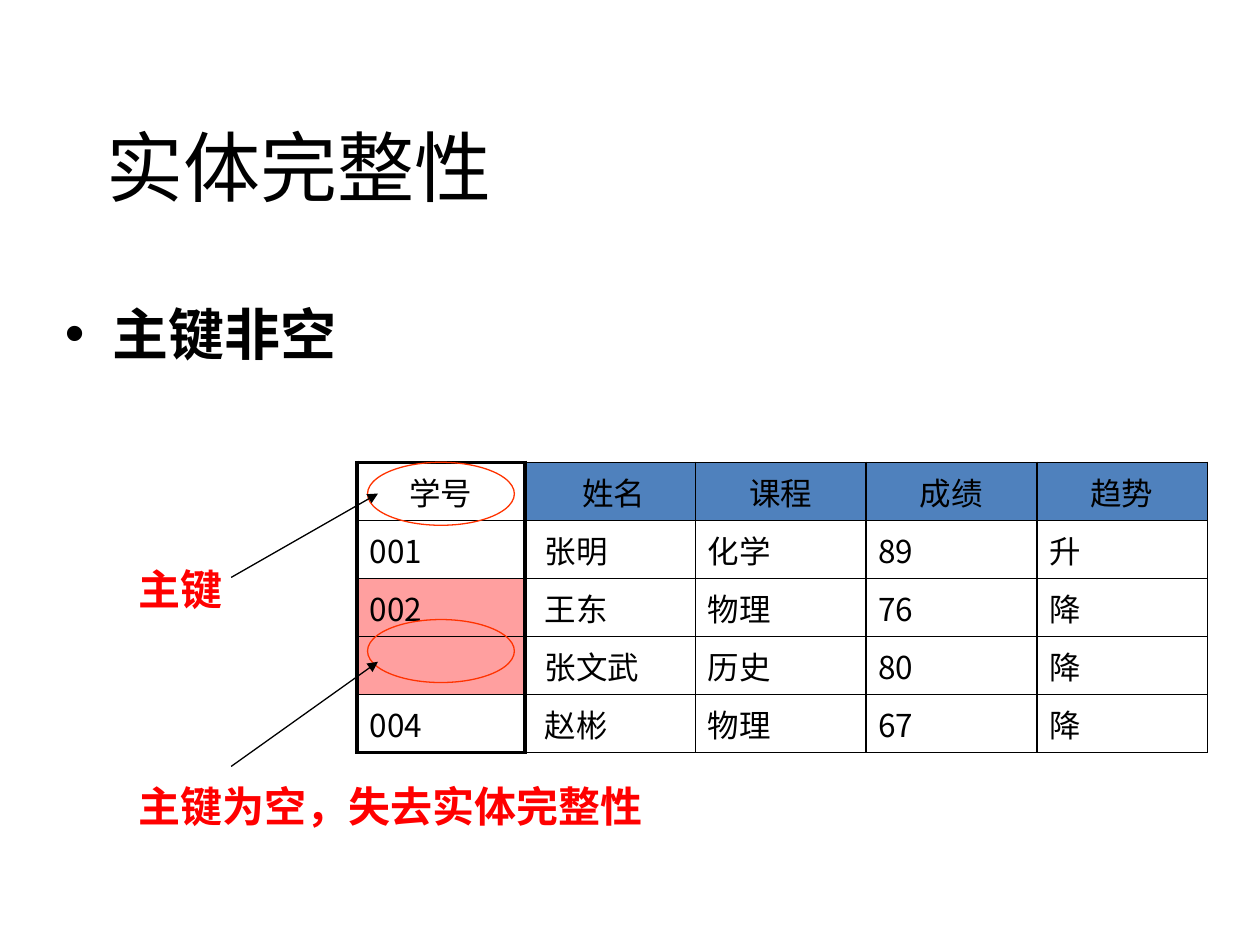
import pptx
import pptx.dml.color
import pptx.enum.shapes
import pptx.enum.text
import pptx.oxml
import pptx.oxml.ns
import pptx.util
from lxml import etree

Cm, Pt = pptx.util.Cm, pptx.util.Pt
ALIGN = pptx.enum.text.PP_ALIGN
ANCHOR = pptx.enum.text.MSO_ANCHOR
CJK = "Noto Sans CJK SC"
BLACK, WHITE, RED, ORANGE = "000000", "FFFFFF", "FF0000", "FF3300"
HEADER, MARKED = "4F81BD", "FF9F9F"
THIN, THICK = 1, 2.25

KEY_COLUMN = [["学号"], ["001"], ["002"], [""], ["004"]]
MARKED_ROWS = (2, 3)
STUDENTS = [
    ["姓名", "课程", "成绩", "趋势"],
    ["张明", "化学", "89", "升"],
    ["王东", "物理", "76", "降"],
    ["张文武", "历史", "80", "降"],
    ["赵彬", "物理", "67", "降"],
]
KEY_LEFT, KEY_WIDTH = 7.2, 3.38
TABLE_TOP, COLUMN_WIDTH, ROW_HEIGHT = 9.32, 3.44, 1.17

# text, box (left, top, width, height), size, font, colour, bold, anchor
TITLE = ("实体完整性", (1.9, 1.35, 21.4, 4), 44, "Calibri", BLACK, False, ANCHOR.MIDDLE)
POINT = ("主键非空", (1.06, 5.92, 18.84, 1.9), 32, "Arial Narrow", BLACK, True, ANCHOR.TOP)
KEY_LABEL = ("主键", (2.54, 11.43, 3.18, 1.07), 24, "Arial", RED, True, ANCHOR.TOP)
NULL_LABEL = ("主键为空，失去实体完整性", (2.54, 15.4, 14, 1.48), 24, "Cambria", RED, True,
              ANCHOR.BOTTOM)

RING_LEFT, RING_SIZE = 7.41, (2.96, 1.27)
RING_TOPS = (TABLE_TOP, 12.49)
ARROWS = [((4.66, 11.64), (7.62, 9.95)), ((4.66, 15.45), (7.62, 13.34))]


def rgb(value):
    return pptx.dml.color.RGBColor.from_string(value)


def child(parent, tag, **attributes):
    return etree.SubElement(parent, pptx.oxml.ns.qn(tag), attributes)


def format_runs(p, size, font, color, bold=False):
    for r in p.runs:
        r.font.size, r.font.bold, r.font.name = Pt(size), bold, font
        r.font.color.rgb = rgb(color)
        child(r.font._element, "a:ea", typeface=CJK)


def add_text(slide, text, box, size, font, color, bold, anchor):
    tf = slide.shapes.add_textbox(*map(Cm, box)).text_frame
    tf.word_wrap, tf.vertical_anchor = True, anchor
    tf.text = text
    p = tf.paragraphs[0]
    format_runs(p, size, font, color, bold)
    return p


def add_bullet(p, indent):
    pPr = p._p.get_or_add_pPr()
    pPr.set("marL", str(Cm(indent)))
    pPr.set("indent", str(-Cm(indent)))
    child(pPr, "a:buFont", typeface="Arial")
    child(pPr, "a:buChar", char="•")


def set_borders(cell, widths):
    """Draw black borders; widths are points for left, right, top, bottom."""
    tcPr = cell._tc.get_or_add_tcPr()
    for side, width in zip("LRTB", widths):
        ln = child(tcPr, f"a:ln{side}", w=str(Pt(width)))
        child(child(ln, "a:solidFill"), "a:srgbClr", val=BLACK)


def add_table(slide, rows, left, width, fill_of, borders_of, anchor, first_margin):
    """Build a grid; fill_of and borders_of give the look of a row number."""
    columns = len(rows[0])
    frame = slide.shapes.add_table(len(rows), columns, Cm(left), Cm(TABLE_TOP),
                                   Cm(width * columns), Cm(ROW_HEIGHT * len(rows)))
    table = frame.table
    table.first_row = table.horz_banding = False
    for column in table.columns:
        column.width = Cm(width)
    for i, row in enumerate(rows):
        table.rows[i].height = Cm(ROW_HEIGHT)
        for j, text in enumerate(row):
            cell = table.cell(i, j)
            cell.text = text
            cell.margin_left = Cm(first_margin if j == 0 else 0.25)
            cell.vertical_anchor = anchor
            set_borders(cell, borders_of(i))
            cell.fill.solid()
            cell.fill.fore_color.rgb = rgb(fill_of(i))
            p = cell.text_frame.paragraphs[0]
            p.alignment = ALIGN.CENTER if i == 0 else ALIGN.LEFT
            format_runs(p, 18, CJK, BLACK)


def key_borders(i):
    last = len(KEY_COLUMN) - 1
    return THICK, THICK, THICK if i == 0 else THIN, THICK if i == last else THIN


def add_ring(slide, top):
    sp = slide.shapes.add_shape(pptx.enum.shapes.MSO_SHAPE.OVAL, Cm(RING_LEFT), Cm(top),
                                *map(Cm, RING_SIZE))
    sp.shadow.inherit = False
    sp.fill.background()
    sp.line.color.rgb = rgb(ORANGE)
    sp.line.width = Pt(0.75)


def add_arrow(slide, start, end):
    line = slide.shapes.add_connector(pptx.enum.shapes.MSO_CONNECTOR.STRAIGHT,
                                      *map(Cm, start + end))
    line.line.color.rgb = rgb(BLACK)
    line.line.width = Pt(0.75)
    child(line.line._get_or_add_ln(), "a:tailEnd", type="triangle")
    child(line._element.spPr, "a:effectLst")


def main():
    prs = pptx.Presentation()
    prs.slide_width, prs.slide_height = Cm(25.4), Cm(19.05)
    slide = prs.slides.add_slide(prs.slide_layouts[6])

    add_text(slide, *TITLE)
    add_table(slide, STUDENTS, KEY_LEFT + KEY_WIDTH, COLUMN_WIDTH,
              lambda i: HEADER if i == 0 else WHITE, lambda i: (THIN,) * 4,
              ANCHOR.MIDDLE, 0.4)
    add_table(slide, KEY_COLUMN, KEY_LEFT, KEY_WIDTH,
              lambda i: MARKED if i in MARKED_ROWS else WHITE, key_borders,
              ANCHOR.TOP, 0.25)

    p = add_text(slide, *POINT)
    p.alignment = ALIGN.JUSTIFY
    add_bullet(p, 0.95)

    add_text(slide, *NULL_LABEL)
    add_text(slide, *KEY_LABEL).line_spacing = 0.8
    for top in RING_TOPS:
        add_ring(slide, top)
    for start, end in ARROWS:
        add_arrow(slide, start, end)

    prs.save("out.pptx")


if __name__ == "__main__":
    main()
